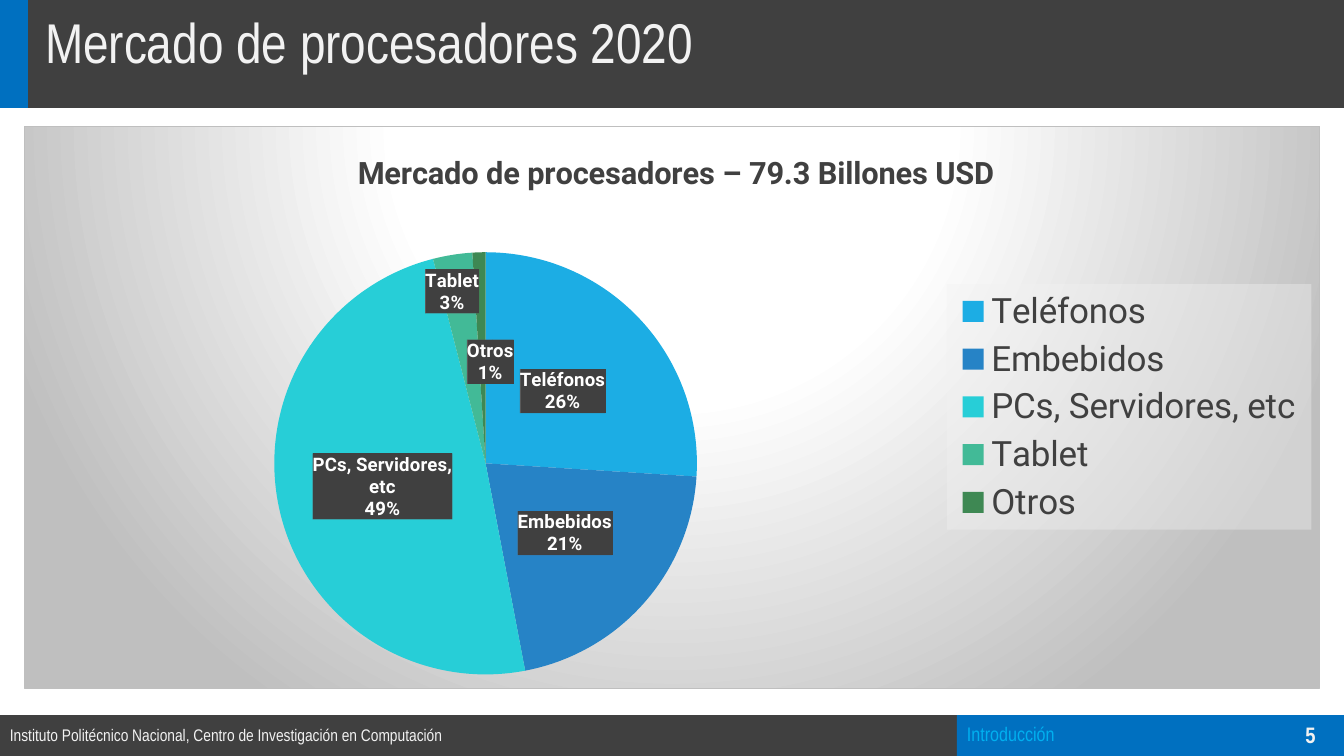
from copy import deepcopy

from lxml import etree
from pptx import Presentation
from pptx import util as u
from pptx.chart.data import CategoryChartData
from pptx.dml.color import RGBColor
from pptx.enum import chart as ch, shapes, text
from pptx.oxml import parse_xml
from pptx.oxml.ns import nsdecls, qn

PX = 914400 / 100.8
DARK = RGBColor(0x40, 0x40, 0x40)
BLUE = RGBColor(0x00, 0x70, 0xC0)
SKY = RGBColor(0x00, 0xB0, 0xF0)
LIGHT = RGBColor(0xF2, 0xF2, 0xF2)
WHITE = RGBColor(0xFF, 0xFF, 0xFF)
BLACK = RGBColor(0x00, 0x00, 0x00)

MARKET = [
    ("Teléfonos", 26, RGBColor(0x1C, 0xAD, 0xE4)),
    ("Embebidos", 21, RGBColor(0x26, 0x83, 0xC6)),
    ("PCs, Servidores, etc", 49, RGBColor(0x27, 0xCE, 0xD7)),
    ("Tablet", 3, RGBColor(0x42, 0xBA, 0x97)),
    ("Otros", 1, RGBColor(0x3E, 0x88, 0x53)),
]
LABEL_SHIFTS = {3: (-17, -68), 4: (8, 4)}

CHART_FILL = """<a:gradFill><a:gsLst>
<a:gs pos="0"><a:srgbClr val="FFFFFF"/></a:gs>
<a:gs pos="39000"><a:srgbClr val="FFFFFF"/></a:gs>
<a:gs pos="100000"><a:srgbClr val="BFBFBF"/></a:gs></a:gsLst>
<a:path path="circle"><a:fillToRect l="50000" t="-80000" r="50000" b="180000"/></a:path>
</a:gradFill><a:ln w="9525"><a:solidFill><a:srgbClr val="BFBFBF"/></a:solidFill></a:ln>"""
LEGEND_FILL = """<a:solidFill><a:srgbClr val="F2F2F2"><a:alpha val="39000"/></a:srgbClr>
</a:solidFill>"""
LABEL_FILL = """<a:pattFill prst="dkVert"><a:fgClr><a:srgbClr val="404040"/></a:fgClr>
<a:bgClr><a:srgbClr val="595959"/></a:bgClr></a:pattFill>"""


def px(n):
    return u.Emu(round(n * PX))


def sp_pr(fill):
    return parse_xml(f"<c:spPr {nsdecls('c', 'a')}>{fill}</c:spPr>")


def layout(frame, box, edge=True):
    x, y, *size = box
    values = {"x": x / frame[2], "y": y / frame[3]}
    if size:
        values.update(w=size[0] / frame[2], h=size[1] / frame[3])
    modes = '<c:xMode val="edge"/><c:yMode val="edge"/>' if edge else ""
    parts = "".join(f'<c:{k} val="{v:.4f}"/>' for k, v in values.items())
    return parse_xml(f"<c:layout {nsdecls('c')}><c:manualLayout>{modes}{parts}"
                     "</c:manualLayout></c:layout>")


def place(parent, after, frame, box):
    old = parent.find(qn("c:layout"))
    if old is not None:
        parent.remove(old)
    x, y, *size = box
    new = layout(frame, (x - frame[0], y - frame[1], *size))
    if after:
        parent.find(qn(after)).addnext(new)
    else:
        parent.insert(0, new)


class Deck:
    font = "Arial Narrow"
    chart_font = "Roboto"

    def __init__(self):
        self.prs = Presentation()
        self.prs.slide_width, self.prs.slide_height = px(1344), px(756)
        self.s = self.prs.slides.add_slide(self.prs.slide_layouts[5])
        self.s.background.fill.solid()
        self.s.background.fill.fore_color.rgb = WHITE

    def style(self, f, name, size, color, bold=False):
        f.name, f.size, f.bold = name, u.Pt(size), bold
        f.color.rgb = color

    def bar(self, x, y, w, h, color):
        sp = self.s.shapes.add_shape(shapes.MSO_SHAPE.RECTANGLE, px(x), px(y), px(w), px(h))
        sp.shadow.inherit = False
        sp.fill.solid()
        sp.fill.fore_color.rgb = color
        sp.line.fill.background()

    def put_text(self, sp, words, size, color, bold=False, spacing=1.0,
                 align=text.PP_ALIGN.LEFT, anchor=text.MSO_ANCHOR.MIDDLE):
        tf = sp.text_frame
        tf.text = words
        tf.word_wrap = True
        tf.auto_size = text.MSO_AUTO_SIZE.NONE
        tf.vertical_anchor = anchor
        p = tf.paragraphs[0]
        p.alignment, p.line_spacing = align, spacing
        self.style(p.runs[0].font, self.font, size, color, bold)

    def title(self, words, x, y, w, h):
        sp = self.s.shapes.title
        sp.left, sp.top, sp.width, sp.height = px(x), px(y), px(w), px(h)
        sp.element.getparent().append(sp.element)
        self.put_text(sp, words, 40, LIGHT, spacing=0.9, anchor=text.MSO_ANCHOR.TOP)

    def label(self, words, x, y, w, h, size, color, **options):
        sp = self.s.shapes.add_textbox(px(x), px(y), px(w), px(h))
        self.put_text(sp, words, size, color, **options)

    def pie(self, heading, rows, frame):
        data = CategoryChartData()
        data.categories = [name for name, _, _ in rows]
        data.add_series("Series 1", [value for _, value, _ in rows])
        chart = self.s.shapes.add_chart(ch.XL_CHART_TYPE.PIE, *map(px, frame), data).chart
        self.style(chart.font, self.chart_font, 10, BLACK)
        root = chart.element.find(qn("c:chart"))
        root.addnext(sp_pr(CHART_FILL))

        chart.has_title = True
        tf = chart.chart_title.text_frame
        tf.text = heading
        self.style(tf.paragraphs[0].runs[0].font, self.chart_font, 22, DARK, True)
        place(root.find(qn("c:title")), "c:tx", frame, (352, 146))
        place(root.find(qn("c:plotArea")), None, frame, (274, 252, 423, 423))

        chart.has_legend = True
        legend = chart.legend
        legend.position = ch.XL_LEGEND_POSITION.RIGHT
        legend.include_in_layout = False
        self.style(legend.font, self.chart_font, 25, DARK)
        node = root.find(qn("c:legend"))
        place(node, "c:legendPos", frame, (947, 284, 365, 246))
        node.find(qn("c:txPr")).addprevious(sp_pr(LEGEND_FILL))

        plot = chart.plots[0]
        plot.vary_by_categories = True
        series = plot.series[0]
        for i, (_, _, color) in enumerate(rows):
            fill = series.points[i].format.fill
            fill.solid()
            fill.fore_color.rgb = color
        self.pie_labels(series, frame)

    def pie_labels(self, series, frame):
        labels = series.data_labels
        labels.show_value = False
        labels.show_category_name = labels.show_percentage = True
        labels.number_format, labels.number_format_is_linked = "0%", False
        labels.position = ch.XL_LABEL_POSITION.CENTER
        self.style(labels.font, self.chart_font, 13.3, WHITE, True)
        node = next(series.points[0].data_label.font and e for e in [labels._element])
        for extra in node.findall(qn("c:dLbl")):
            node.remove(extra)
        node.find(qn("c:txPr")).addprevious(sp_pr(LABEL_FILL))
        separator = etree.Element(qn("c:separator"))
        separator.text = "\n"
        last = node.find(qn("c:showBubbleSize"))
        if last is None:
            last = node.find(qn("c:showPercent"))
        last.addnext(separator)
        shared = [c for c in node if c.tag != qn("c:showLeaderLines")]
        for n, (i, shift) in enumerate(LABEL_SHIFTS.items()):
            point = parse_xml(f'<c:dLbl {nsdecls("c")}><c:idx val="{i}"/></c:dLbl>')
            point.append(layout(frame, shift, edge=False))
            point.extend(deepcopy(c) for c in shared)
            node.insert(n, point)


def main():
    deck = Deck()
    deck.bar(0, 715, 1344, 41, DARK)
    deck.bar(957, 715, 387, 41, BLUE)
    deck.bar(0, 0, 1344, 108, DARK)
    deck.bar(0, 0, 28, 108, BLUE)
    deck.label("Instituto Politécnico Nacional, Centro de Investigación en Computación",
               0, 715, 606, 40, 12, LIGHT)
    deck.title("Mercado de procesadores 2020", 35, 10, 921, 56)
    deck.label("Introducción", 957, 715, 320, 40, 14, SKY, spacing=0.9)
    deck.label("5", 1277, 715, 67, 40, 16, LIGHT, bold=True, align=text.PP_ALIGN.CENTER)
    deck.pie("Mercado de procesadores – 79.3 Billones USD", MARKET, (24, 126, 1296, 563))
    deck.prs.save("out.pptx")


if __name__ == "__main__":
    main()
